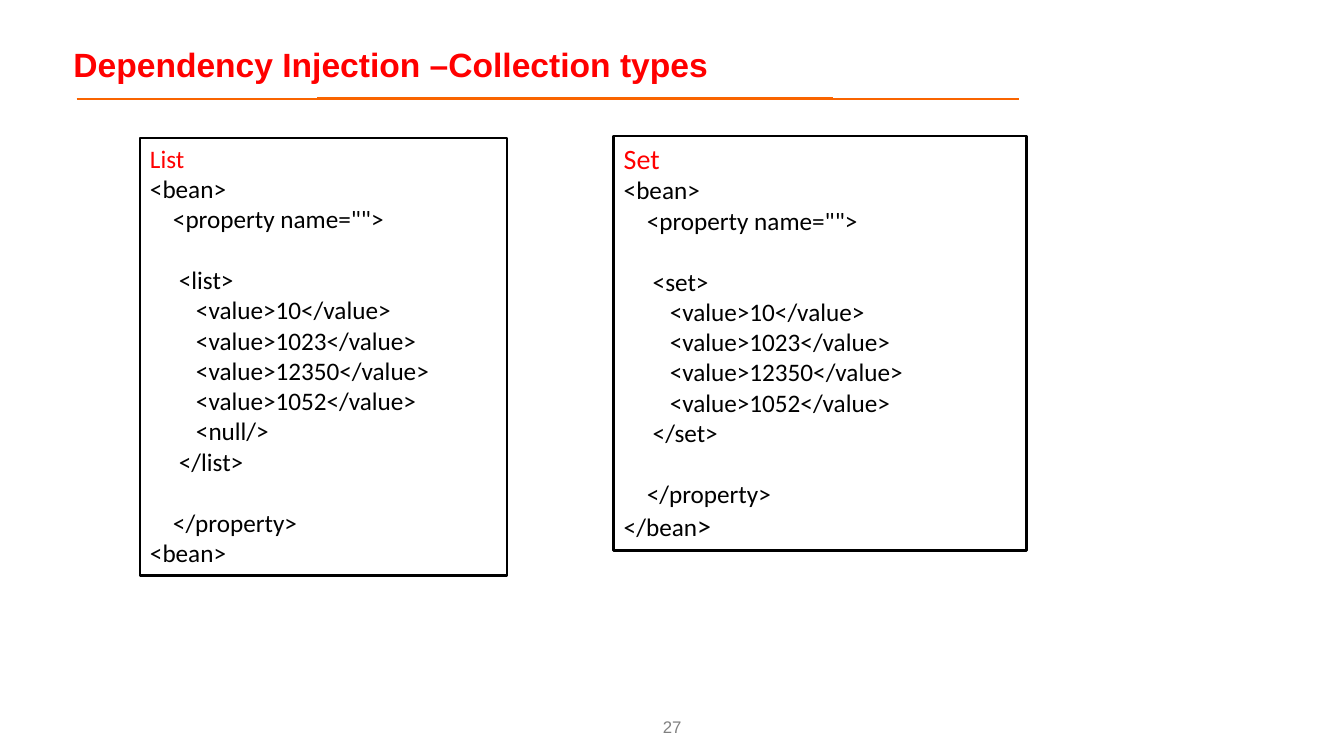
from lxml.etree import SubElement
from pptx import Presentation
from pptx.dml.color import RGBColor
from pptx.enum.shapes import MSO_CONNECTOR, MSO_SHAPE
from pptx.enum.text import MSO_ANCHOR, PP_ALIGN
from pptx.oxml.ns import qn
from pptx.util import Cm, Pt

TITLE = "Dependency Injection –Collection types"
PAGE_NUMBER = "27"
RED, BLACK, WHITE, GREY, ORANGE = "FF0000", "000000", "FFFFFF", "808080", "F96400"

# Code lines: (indent level, gap above, text)
PROPERTY_START = [(0, False, "<bean>"), (1, False, '<property name="">')]
VALUES = [(3, False, f"<value>{number}</value>") for number in (10, 1023, 12350, 1052)]
PROPERTY_END = (1, True, "</property>")
LIST_CODE = [*PROPERTY_START, (2, True, "<list>"), *VALUES, (3, False, "<null/>"),
             (2, False, "</list>"), PROPERTY_END, (0, False, "<bean>")]
SET_CODE = [*PROPERTY_START, (2, True, "<set>"), *VALUES,
            (2, False, "</set>"), PROPERTY_END, (0, False, "</bean")]

# Panels: heading, heading size, code, larger closing mark, (left, top, width, height) in cm
PANELS = [
    ("List", 18, LIST_CODE, "", (3.53, 3.48, 9.25, 11.02)),
    ("Set", 20, SET_CODE, ">", (15.47, 3.43, 10.41, 10.44)),
]
# Rules under the title: start, end in cm, weight in points
RULES = [(1.93, 25.68, 1.5), (8.0, 20.98, 2.25)]
RULE_TOP = 2.49
INDENTS = (0, 0.58, 0.73, 1.16)
CODE_SIZE = 18
CODE_LINE = 22


def rgb(hex_color):
    return RGBColor.from_string(hex_color)


def style(font, name, size, color, bold=False):
    font.name, font.size, font.bold = name, Pt(size), bold
    font.color.rgb = rgb(color)


def add_label(slide, text, box, size, color, bold=False, align=PP_ALIGN.LEFT):
    frame = slide.shapes.add_textbox(*map(Cm, box)).text_frame
    frame.word_wrap = True
    frame.vertical_anchor = MSO_ANCHOR.MIDDLE
    label = frame.paragraphs[0]
    label.text = text
    label.alignment = align
    style(label.font, "Arial", size, color, bold)
    return label


def add_rule(slide, start, end, weight):
    rule = slide.shapes.add_connector(
        MSO_CONNECTOR.STRAIGHT, Cm(start), Cm(RULE_TOP), Cm(end), Cm(RULE_TOP))
    rule.line.color.rgb = rgb(ORANGE)
    rule.line.width = Pt(weight)
    SubElement(rule._element.spPr, qn("a:effectLst"))


def add_panel(slide, heading, heading_size, code, closing_mark, box):
    panel = slide.shapes.add_shape(MSO_SHAPE.RECTANGLE, *map(Cm, box))
    panel.shadow.inherit = False
    panel.fill.solid()
    panel.fill.fore_color.rgb = rgb(WHITE)
    panel.line.color.rgb = rgb(BLACK)
    panel.line.width = Pt(2)
    frame = panel.text_frame
    frame.word_wrap = True
    frame.vertical_anchor = MSO_ANCHOR.TOP

    title = frame.paragraphs[0]
    title.text = heading
    title.alignment = PP_ALIGN.LEFT
    style(title.font, "Calibri", heading_size, RED)
    for level, gap_above, text in code:
        line = frame.add_paragraph()
        line.text = text
        line.alignment = PP_ALIGN.LEFT
        line.space_before = Pt(CODE_LINE if gap_above else 0)
        line._p.get_or_add_pPr().set("marL", str(Cm(INDENTS[level])))
        style(line.font, "Calibri", CODE_SIZE, BLACK)
    if closing_mark:
        mark = line.add_run()
        mark.text = closing_mark
        mark.font.size = Pt(20)


def main():
    deck = Presentation()
    deck.slide_width, deck.slide_height = Cm(33.87), Cm(19.05)
    slide = deck.slides.add_slide(deck.slide_layouts[6])
    add_label(slide, PAGE_NUMBER, (16.1, 17.93, 1.68, 0.76), 12, GREY, align=PP_ALIGN.CENTER)
    title = add_label(slide, TITLE, (1.6, 1.17, 22.33, 1.02), 24, RED, bold=True)
    title.line_spacing = 0.9
    for rule in RULES:
        add_rule(slide, *rule)
    for panel in PANELS:
        add_panel(slide, *panel)
    deck.save("out.pptx")


if __name__ == "__main__":
    main()
